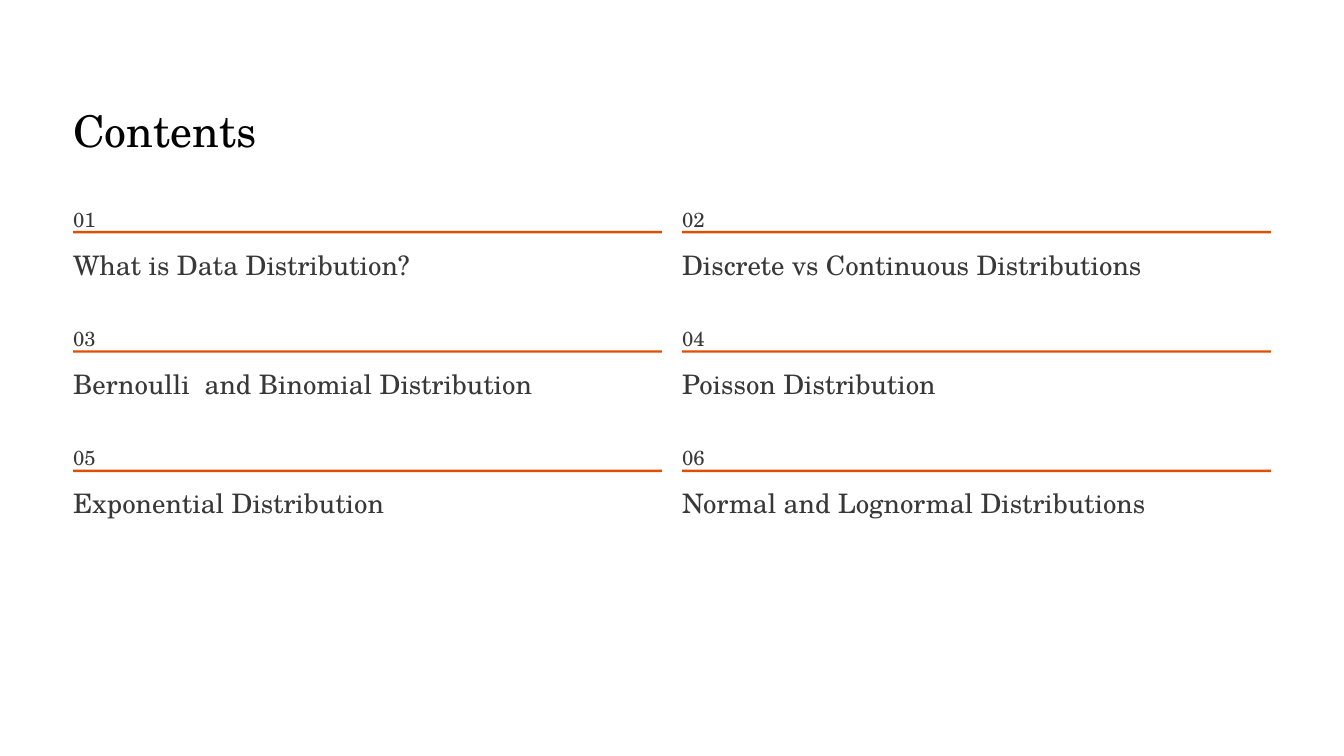
import dataclasses

import pptx
import pptx.dml.color
import pptx.enum.shapes
import pptx.enum.text
import pptx.util


@dataclasses.dataclass(frozen=True)
class Theme:
    font: str = "TeX Gyre Schola"
    title_color: str = "020202"
    text_color: str = "383838"
    rule_color: str = "E04F00"
    title_size: float = 37.5
    number_size: float = 17.5
    topic_size: float = 23


THEME = Theme()
LEFT, TOP = 0.87, 2.36
COLUMN_WIDTH, COLUMN_STEP = 7.01, 7.25
ROW_STEP = 1.42
COLUMNS = 2
RULE_OFFSET, TOPIC_OFFSET = 0.39, 0.58
TOPICS = [
    "What is Data Distribution?",
    "Discrete vs Continuous Distributions",
    "Bernoulli  and Binomial Distribution",
    "Poisson Distribution",
    "Exponential Distribution",
    "Normal and Lognormal Distributions",
]


def color(value):
    return pptx.dml.color.RGBColor.from_string(value)


def place(shape, left, top, width, height):
    shape.left, shape.top, shape.width, shape.height = map(
        pptx.util.Inches, (left, top, width, height)
    )


def write(box, text, *, size, leading, ink=THEME.text_color):
    frame = box.text_frame
    frame.word_wrap = True
    frame.auto_size = pptx.enum.text.MSO_AUTO_SIZE.NONE
    frame.vertical_anchor = pptx.enum.text.MSO_ANCHOR.TOP
    frame.margin_left = frame.margin_right = 0
    frame.margin_top = frame.margin_bottom = 0
    para = frame.paragraphs[0]
    para.alignment = pptx.enum.text.PP_ALIGN.LEFT
    para.line_spacing = pptx.util.Pt(leading)
    span = para.add_run()
    span.text = text
    span.font.name = THEME.font
    span.font.size = pptx.util.Pt(size)
    span.font.color.rgb = color(ink)


def add_text(page, text, left, top, height, **style):
    box = page.shapes.add_textbox(0, 0, 0, 0)
    place(box, left, top, COLUMN_WIDTH, height)
    write(box, text, **style)


def add_rule(page, left, top):
    rule = page.shapes.add_shape(pptx.enum.shapes.MSO_SHAPE.RECTANGLE, 0, 0, 0, 0)
    place(rule, left, top, COLUMN_WIDTH, 0.03)
    rule.shadow.inherit = False
    rule.fill.solid()
    rule.fill.fore_color.rgb = color(THEME.rule_color)
    rule.line.fill.background()


def add_topic(page, index, topic):
    row, column = divmod(index, COLUMNS)
    left = LEFT + column * COLUMN_STEP
    top = TOP + row * ROW_STEP
    add_text(page, f"{index + 1:02d}", left, top, 0.31, size=THEME.number_size, leading=28.5)
    add_rule(page, left, top + RULE_OFFSET)
    add_text(page, topic, left, top + TOPIC_OFFSET, 0.41, size=THEME.topic_size, leading=29)


def main():
    deck = pptx.Presentation()
    deck.slide_width = pptx.util.Inches(16)
    deck.slide_height = pptx.util.Inches(9)
    page = deck.slides.add_slide(deck.slide_layouts.get_by_name("Title Only"))
    title = page.shapes.title
    place(title, LEFT, 1.21, 5.21, 0.65)
    write(title, "Contents", size=THEME.title_size, leading=46.5, ink=THEME.title_color)
    for index, topic in enumerate(TOPICS):
        add_topic(page, index, topic)
    deck.save("out.pptx")


if __name__ == "__main__":
    main()
